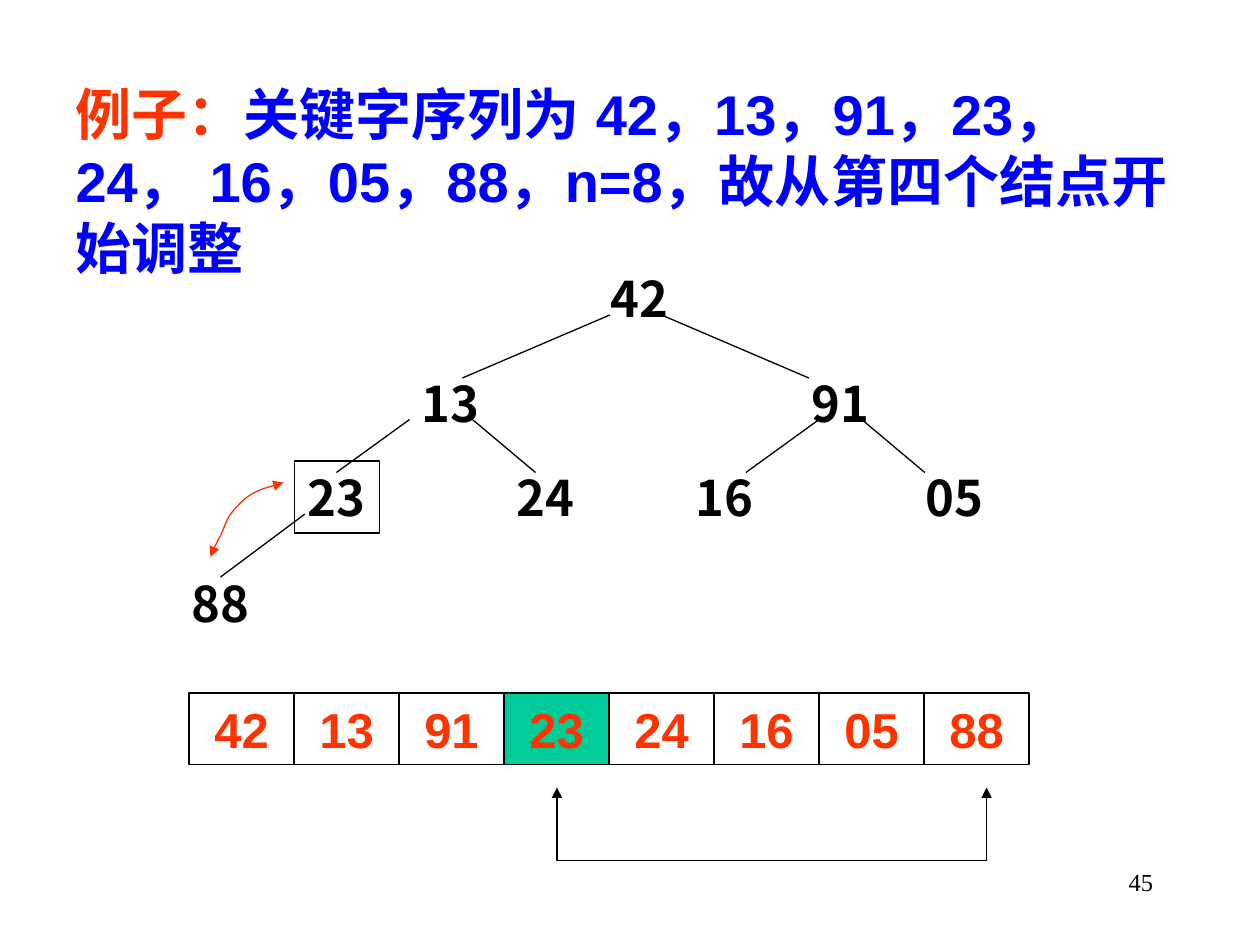
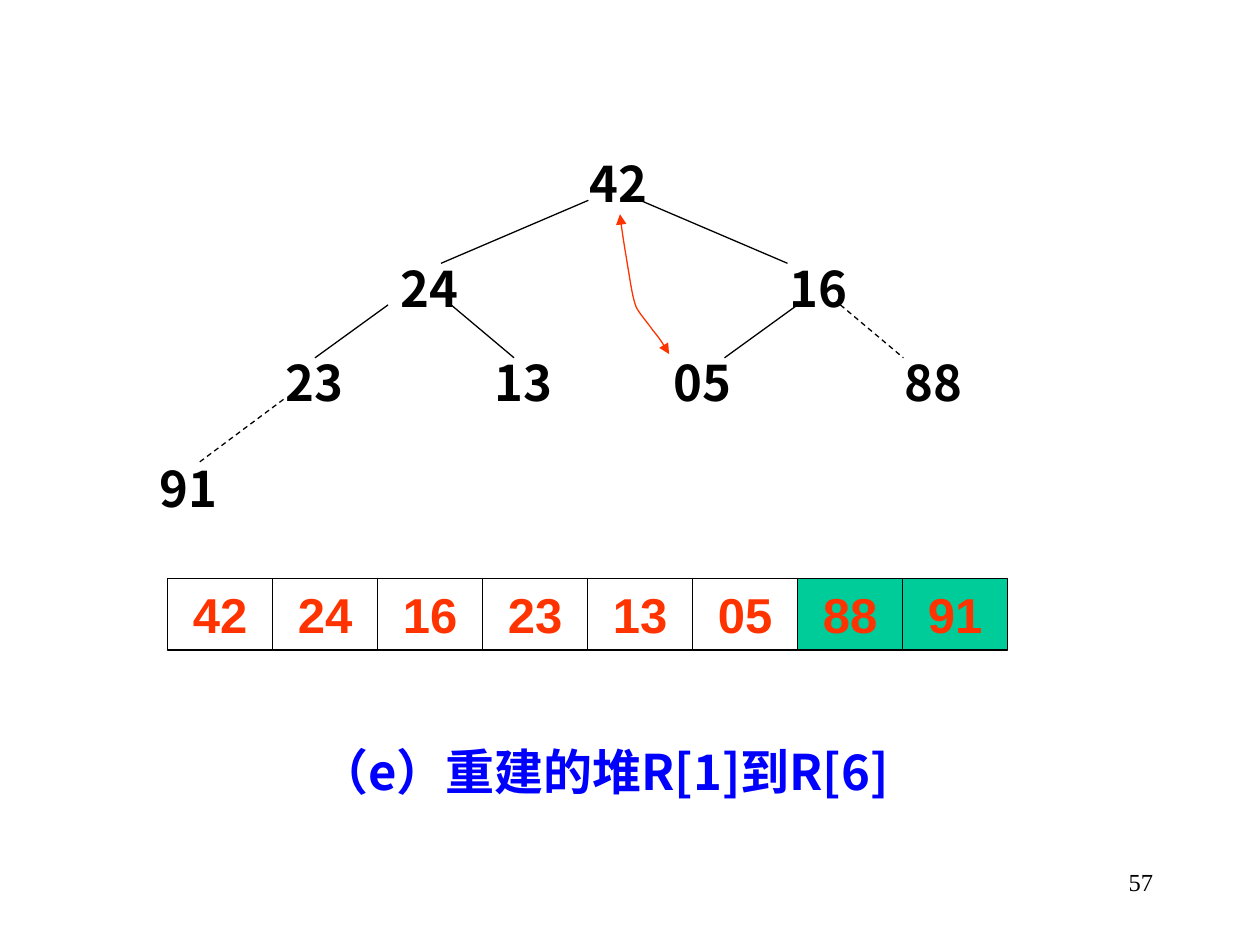
from lxml import etree
from pptx import Presentation
from pptx.dml.color import RGBColor
from pptx.enum.dml import MSO_LINE_DASH_STYLE as Dash
from pptx.enum.shapes import MSO_CONNECTOR as Connector, MSO_SHAPE as Shape
from pptx.enum.text import MSO_ANCHOR as Anchor, MSO_AUTO_SIZE as AutoSize, PP_ALIGN as Align
from pptx.oxml.ns import qn
from pptx.util import Inches, Pt

BLACK = RGBColor(0x00, 0x00, 0x00)
RED = RGBColor(0xFF, 0x33, 0x00)
BLUE = RGBColor(0x00, 0x00, 0xFF)
GREEN = RGBColor(0x00, 0xCC, 0x99)
SANS, CJK, SERIF = "Arial", "Noto Sans CJK SC", "Times New Roman"

TITLE_ONLY = 5
LINE_WIDTH = Pt(0.75)
NODE_WIDTH, CELL_WIDTH, BOX_HEIGHT = 0.67, 5 / 6, 0.57

# Node places and edge ends, relative to the left top corner of the heap figure
NODES = [(3.33, 0), (1.83, 0.83), (4.92, 0.83), (0.92, 1.58),
         (2.58, 1.58), (4, 1.58), (5.83, 1.58)]
EDGES = [((3.42, 0.42), (2.25, 0.92)), ((3.83, 0.42), (5, 0.92)),
         ((1.83, 1.25), (1.25, 1.67)), ((2.33, 1.25), (2.83, 1.67)),
         ((5.08, 1.25), (4.5, 1.67)), ((5.42, 1.25), (5.92, 1.67)),
         ((1, 2), (0.33, 2.5))]
ARRAY_OFFSET = (0.08, 3.42)


def write(shape, runs, size, align=Align.LEFT, font=SANS, bold=True, anchor=Anchor.MIDDLE):
    """Fill a shape with one paragraph made of (text, colour) runs."""
    frame = shape.text_frame
    frame.word_wrap = True
    frame.auto_size = AutoSize.NONE
    frame.vertical_anchor = anchor
    paragraph = frame.paragraphs[0]
    paragraph.alignment = align
    for text, colour in runs:
        run = paragraph.add_run()
        run.text = text
        run.font.size = Pt(size)
        run.font.bold = bold
        run.font.name = font
        run.font.color.rgb = colour
        east_asian = etree.SubElement(run.font._element, qn("a:ea"))
        east_asian.set("typeface", font)


def place(shape, left, top, width, height):
    shape.left, shape.top = Inches(left), Inches(top)
    shape.width, shape.height = Inches(width), Inches(height)


def add_text(slide, left, top, width, height, *args, **options):
    box = slide.shapes.add_textbox(Inches(left), Inches(top), Inches(width), Inches(height))
    write(box, *args, **options)


def add_box(slide, left, top, width, fill=None):
    box = slide.shapes.add_shape(Shape.RECTANGLE, Inches(left), Inches(top),
                                 Inches(width), Inches(BOX_HEIGHT))
    box.shadow.inherit = False
    if fill is None:
        box.fill.background()
    else:
        box.fill.solid()
        box.fill.fore_color.rgb = fill
    box.line.color.rgb = BLACK
    box.line.width = LINE_WIDTH
    return box


def add_edge(slide, start, end, dashed):
    edge = slide.shapes.add_connector(Connector.STRAIGHT, *map(Inches, start + end))
    edge.line.color.rgb = BLACK
    edge.line.width = LINE_WIDTH
    if dashed:
        edge.line.dash_style = Dash.DASH
    etree.SubElement(edge._element.spPr, qn("a:effectLst"))


def add_swap_arrow(slide, points, colour, curved=False):
    """Draw an open line with two arrowheads; a curve takes its points as Bezier triples."""
    start, *others = [(Inches(x), Inches(y)) for x, y in points]
    builder = slide.shapes.build_freeform(*start)
    builder.add_line_segments(others, close=False)
    arrow = builder.convert_to_shape()
    arrow.shadow.inherit = False
    arrow.fill.background()
    arrow.line.color.rgb = colour
    arrow.line.width = LINE_WIDTH
    line = arrow.line._get_or_add_ln()
    for end in ("a:headEnd", "a:tailEnd"):
        etree.SubElement(line, qn(end)).set("type", "triangle")
    if curved:
        segments = list(arrow._element.iter(qn("a:lnTo")))
        outline = segments[0].getparent()
        for first in range(0, len(segments), 3):
            curve = etree.SubElement(outline, qn("a:cubicBezTo"))
            for segment in segments[first:first + 3]:
                curve.append(segment[0])
                outline.remove(segment)


def add_tree(slide, left, top, keys, last_node, boxed=(), dashed=()):
    for index, (key, (x, y)) in enumerate(zip(keys, NODES + [last_node])):
        if index in boxed:
            write(add_box(slide, left + x, top + y, NODE_WIDTH), [(key, BLACK)], 28, font=CJK)
        else:
            add_text(slide, left + x, top + y, NODE_WIDTH, BOX_HEIGHT,
                     [(key, BLACK)], 28, font=CJK)
    for index, ends in enumerate(EDGES):
        start, end = [(left + x, top + y) for x, y in ends]
        add_edge(slide, start, end, index in dashed)


def add_array(slide, left, top, keys, marked):
    for index, key in enumerate(keys):
        cell = add_box(slide, left + index * CELL_WIDTH, top, CELL_WIDTH,
                       GREEN if index in marked else None)
        write(cell, [(key, RED)], 28, Align.CENTER)


def add_heap(slide, left, top, keys, marked, **tree_options):
    """Place a heap as a tree with its array below."""
    add_tree(slide, left, top, keys, **tree_options)
    add_array(slide, left + ARRAY_OFFSET[0], top + ARRAY_OFFSET[1], keys, marked)


def add_slide(presentation, number):
    slide = presentation.slides.add_slide(presentation.slide_layouts[TITLE_ONLY])
    add_text(slide, 7.17, 6.83, 2.08, 0.5, [(str(number), BLACK)], 14, Align.RIGHT,
             font=SERIF, bold=False, anchor=Anchor.TOP)
    return slide


def build_first_adjustment(presentation):
    slide = add_slide(presentation, 45)
    title = slide.shapes.title
    place(title, 0.5, 0.58, 9.08, 1.7)
    write(title, [("例子：", RED),
                  ("关键字序列为 42，13，91，23， 24， 16，05，88，n=8，故从第四个结点开始调整", BLUE)],
          32, anchor=Anchor.TOP)
    add_heap(slide, 1.42, 2.08, ["42", "13", "91", "23", "24", "16", "05", "88"],
             marked={3}, last_node=(0, 2.42), boxed={3})
    add_swap_arrow(slide, [(4.42, 6.25), (4.42, 6.83), (7.83, 6.83), (7.83, 6.25)], BLACK)
    add_swap_arrow(slide, [(1.67, 4.42), (1.69, 4.36), (1.72, 4.31), (1.75, 4.25),
                           (1.78, 4.19), (1.79, 4.14), (1.83, 4.08),
                           (1.87, 4.03), (1.93, 3.96), (2, 3.92),
                           (2.07, 3.88), (2.19, 3.85), (2.25, 3.83)], RED, curved=True)


def build_rebuilt_heap(presentation):
    slide = add_slide(presentation, 57)
    caption = slide.shapes.title
    place(caption, 1.92, 5.83, 5.75, BOX_HEIGHT)
    write(caption, [("（e）重建的堆R[1]到R[6]", BLUE)], 28, Align.CENTER, font=CJK)
    add_heap(slide, 1.25, 1.17, ["42", "24", "16", "23", "13", "05", "88", "91"],
             marked={6, 7}, last_node=(-0.08, 2.42), dashed={5, 6})
    add_swap_arrow(slide, [(5.31, 2.81), (5.27, 2.74), (5.23, 2.68), (5.18, 2.62),
                           (5.14, 2.56), (5.09, 2.51), (5.05, 2.44),
                           (5.02, 2.36), (5.01, 2.28), (4.99, 2.16),
                           (4.97, 2.04), (4.94, 1.87), (4.92, 1.7)], RED, curved=True)


def main():
    presentation = Presentation()
    presentation.slide_width, presentation.slide_height = Inches(10), Inches(7.5)
    build_first_adjustment(presentation)
    build_rebuilt_heap(presentation)
    presentation.save("out.pptx")


if __name__ == "__main__":
    main()
